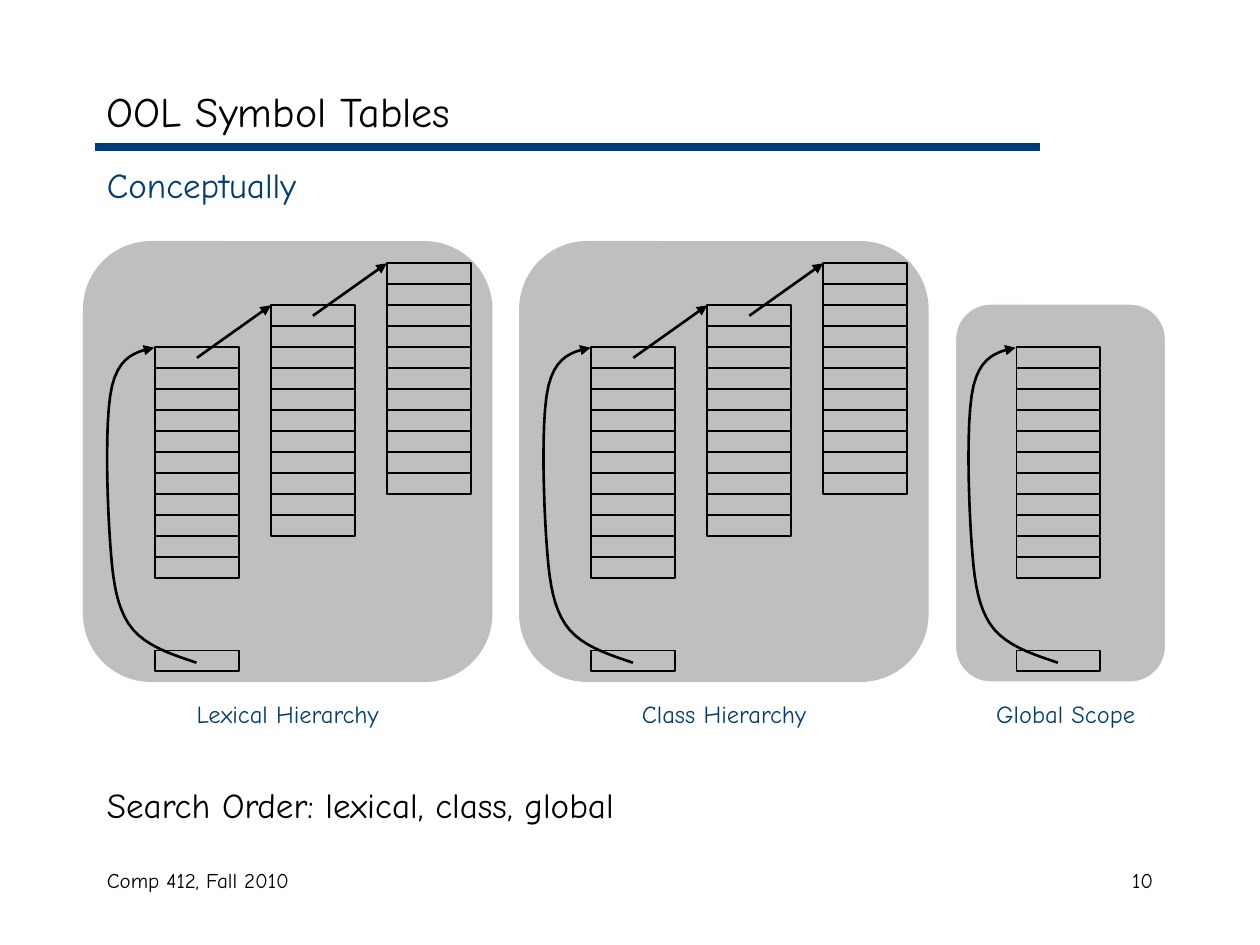
from lxml.etree import SubElement
from pptx import Presentation
from pptx.dml.color import RGBColor
from pptx.enum.shapes import MSO_CONNECTOR, MSO_SHAPE
from pptx.enum.text import MSO_ANCHOR, PP_ALIGN
from pptx.oxml.ns import qn
from pptx.util import Inches, Pt

LEFT, MID, RIGHT = PP_ALIGN.LEFT, PP_ALIGN.CENTER, PP_ALIGN.RIGHT
TOP, CENTER = MSO_ANCHOR.TOP, MSO_ANCHOR.MIDDLE
RECT, ROUND = MSO_SHAPE.RECTANGLE, MSO_SHAPE.ROUNDED_RECTANGLE
STRAIGHT = MSO_CONNECTOR.STRAIGHT
FONT = "Comic Neue"
INK = {"black": "000000", "blue": "003C75", "gray": "BFBFBF", "white": "FFFFFF"}

deck = Presentation()
deck.slide_width, deck.slide_height = Inches(10), Inches(7.5)
slide = deck.slides.add_slide(deck.slide_layouts[6])
col, row = deck.slide_width / 60, deck.slide_height / 45


def write(home, text, spot, size, ink, align=LEFT, anchor=TOP):
    x, y, w, h = spot
    box = home.add_textbox(int(x * col), int(y * row), int(w * col), int(h * row))
    frame = box.text_frame
    frame.word_wrap = True
    frame.vertical_anchor = anchor
    para = frame.paragraphs[0]
    para.alignment = align
    run = para.add_run()
    run.text = text
    run.font.name = FONT
    run.font.size = Pt(size)
    run.font.color.rgb = RGBColor.from_string(INK[ink])


def stroke(shape, width, ink="black", arrow=False):
    shape.line.color.rgb = RGBColor.from_string(INK[ink])
    shape.line.width = Pt(width)
    props = shape._element.spPr
    if arrow:
        SubElement(props.find(qn("a:ln")), qn("a:tailEnd"), type="triangle")
    if props.find(qn("a:effectLst")) is None:
        SubElement(props, qn("a:effectLst"))


rule = slide.shapes.add_connector(
    STRAIGHT, int(4.5 * col), int(7 * row), int(49.5 * col), int(7 * row))
stroke(rule, 4.5, "blue")

for text, spot, size, ink, align, anchor in [
    ("OOL Symbol Tables", (4.5, 3.5, 51, 3.5), 24, "black", LEFT, CENTER),
    ("Conceptually", (4.5, 7.5, 51.5, 5), 20, "blue", LEFT, TOP),
    ("Search Order: lexical, class, global", (4.5, 37, 51.5, 3.5), 20, "black", LEFT, TOP),
    ("Comp 412, Fall 2010", (4.5, 41, 19, 3), 12, "black", LEFT, TOP),
    ("10", (43, 41, 12.5, 3), 12, "black", RIGHT, TOP),
]:
    write(slide.shapes, text, spot, size, ink, align, anchor)

CELLS, WIDE = 11, 4
STEP, RISE = 5.52, 2
BASE, SLOT = 16.54, 30.97
KNOTS = [(1.98, 15.02), (0.72, 14.6), (-0.6, 14.18), (-1.26, 13.16),
         (-1.92, 12.14), (-2.04, 10.76), (-2.16, 8.9), (-2.28, 6.98),
         (-2.4, 3.32), (-2.04, 1.82), (-1.68, 0.38), (-0.84, 0.2), (-0.04, 0.02)]
PARTS = 10

curve = [KNOTS[0]]
for i in range(0, len(KNOTS) - 1, 3):
    for k in range(1, PARTS + 1):
        t = k / PARTS
        share = ((1 - t) ** 3, 3 * t * (1 - t) ** 2, 3 * t * t * (1 - t), t ** 3)
        curve.append(tuple(
            sum(s * knot[axis] for s, knot in zip(share, KNOTS[i:i + 4]))
            for axis in (0, 1)))

for name, panel, edge, first, stacks, label in [
    ("Lexical Hierarchy", (3.95, 11.48, 19.5, 21), None, 7.38, 3, (4.2, 19)),
    ("Class Hierarchy", (24.72, 11.48, 19.5, 21), None, 28.16, 3, (24.98, 19)),
    ("Global Scope", (45.5, 14.48, 10, 18), "white", 48.4, 1, (45.5, 10.5)),
]:
    group = slide.shapes.add_group_shape().shapes
    x, y, w, h = panel
    back = group.add_shape(ROUND, int(x * col), int(y * row), int(w * col), int(h * row))
    back.shadow.inherit = False
    back.fill.solid()
    back.fill.fore_color.rgb = RGBColor.from_string(INK["gray"])
    if edge:
        stroke(back, 0.75, edge)
    else:
        back.line.fill.background()

    spots = [(first + n * STEP, BASE - n * RISE + i)
             for n in range(stacks) for i in range(CELLS)]
    for x, y in spots + [(first, SLOT)]:
        cell = group.add_shape(RECT, int(x * col), int(y * row), int(WIDE * col), int(row))
        cell.shadow.inherit = False
        cell.fill.background()
        stroke(cell, 1)

    for n in range(stacks - 1):
        x, y = first + n * STEP, BASE - n * RISE
        link = group.add_connector(
            STRAIGHT, int((x + WIDE / 2) * col), int((y + 0.5) * row),
            int((x + STEP) * col), int((y - RISE) * row))
        stroke(link, 1.5, arrow=True)

    dots = [((first + x) * col, (BASE + y) * row) for x, y in curve]
    pen = group.build_freeform(*dots[0])
    pen.add_line_segments(dots[1:], close=False)
    loop = pen.convert_to_shape()
    loop.shadow.inherit = False
    loop.fill.background()
    stroke(loop, 1.5, arrow=True)

    left, span = label
    write(group, name, (left, 33, span, 2), 14, "blue", MID)

deck.save("out.pptx")
